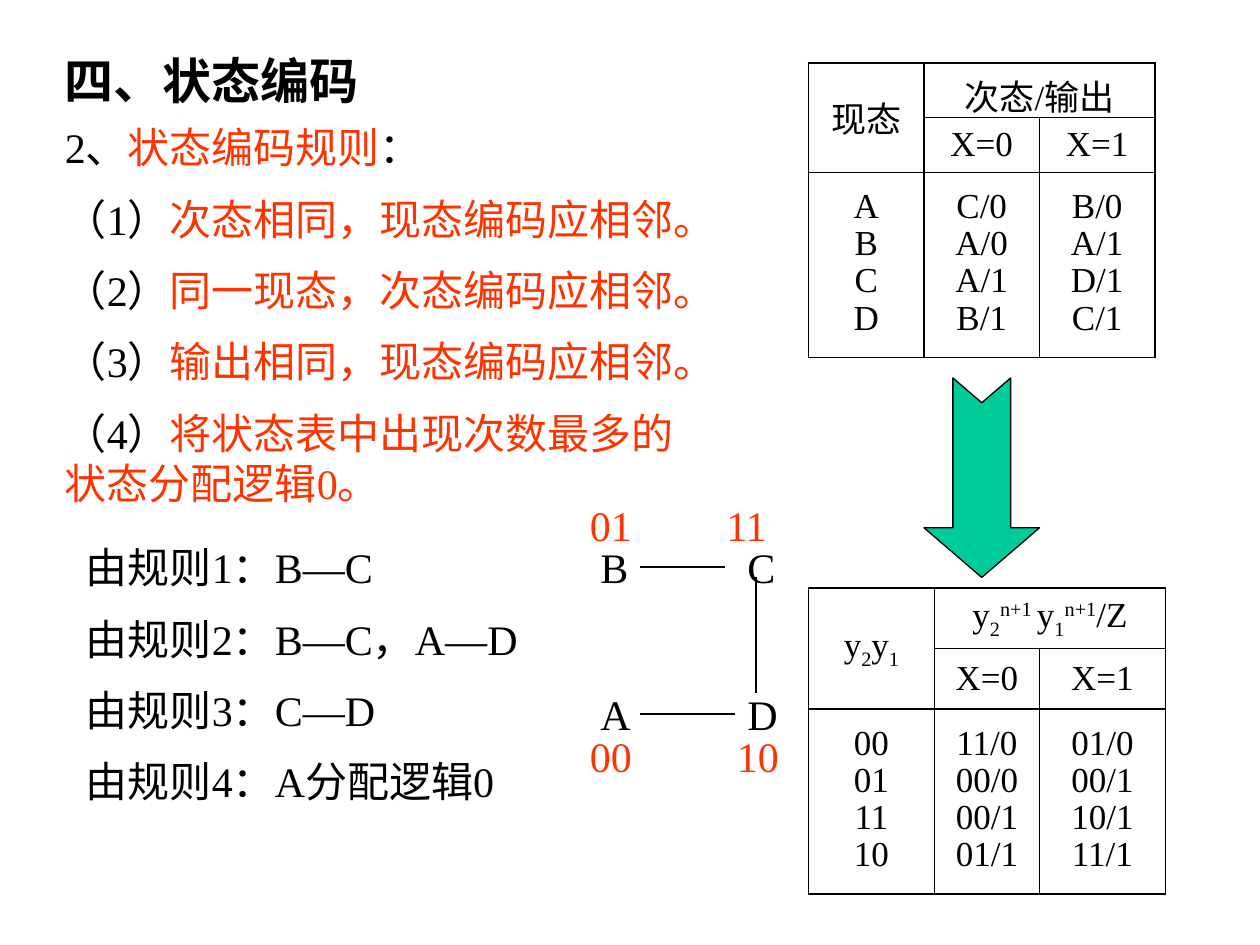
from dataclasses import dataclass

from lxml import etree
from pptx import Presentation
from pptx.dml.color import RGBColor
from pptx.enum.shapes import MSO_CONNECTOR, MSO_SHAPE
from pptx.enum.text import MSO_ANCHOR, MSO_AUTO_SIZE, PP_ALIGN
from pptx.oxml.ns import qn
from pptx.util import Inches, Pt

STRAIGHT = MSO_CONNECTOR.STRAIGHT
ARROW = MSO_SHAPE.NOTCHED_RIGHT_ARROW
CENTER, MIDDLE = PP_ALIGN.CENTER, MSO_ANCHOR.MIDDLE
GROW = MSO_AUTO_SIZE.SHAPE_TO_FIT_TEXT

FONT = "Times New Roman"
COLORS = {"black": "000000", "red": "FF3300", "green": "00CC99", "white": "FFFFFF"}
SUB, SUP = -25, 30
WIDTH, HEIGHT = Inches(10), Inches(7.5)
COLS, ROWS = 120, 90  # slide grid


@dataclass(frozen=True)
class Run:
    text: str
    color: str = "black"
    base: int = 0  # percent above (+) or below (-) the baseline


@dataclass(frozen=True)
class Box:
    x: float
    y: float
    w: float
    h: float
    lines: list[list[Run]]
    size: int = 24
    bold: bool = False


@dataclass(frozen=True)
class StateTable:
    x: float
    y: float
    cols: list[float]
    rows: list[float]
    state: list[Run]
    result: list[Run]
    body: list[str]  # one string of lines per column


def col(n: float) -> int:
    return round(WIDTH * n / COLS)


def row(n: float) -> int:
    return round(HEIGHT * n / ROWS)


def rgb(name: str) -> RGBColor:
    return RGBColor.from_string(COLORS[name])


def write(tf, lines: list[list[Run]], size: int, gap: float, bold: bool = False,
          align=None, spacing=None) -> None:
    for i, runs in enumerate(lines):
        p = tf.paragraphs[0] if i == 0 else tf.add_paragraph()
        p.space_before = Pt(gap if i else 0)
        p.alignment, p.line_spacing = align, spacing
        for run in runs:
            r = p.add_run()
            r.text = run.text
            r.font.name, r.font.size, r.font.bold = FONT, Pt(size), bold
            r.font.color.rgb = rgb(run.color)
            if run.base:
                r._r.get_or_add_rPr().set("baseline", str(run.base * 1000))


def draw_box(s, box: Box) -> None:
    sp = s.shapes.add_textbox(col(box.x), row(box.y), col(box.w), row(box.h))
    tf = sp.text_frame
    tf.word_wrap, tf.auto_size = True, GROW
    write(tf, box.lines, box.size, box.size / 2, box.bold)


def draw_line(s, x1: float, y1: float, x2: float, y2: float) -> None:
    sp = s.shapes.add_connector(STRAIGHT, col(x1), row(y1), col(x2), row(y2))
    sp.line.color.rgb, sp.line.width = rgb("black"), Pt(0.75)
    etree.SubElement(sp._element.spPr, qn("a:effectLst"))


def set_borders(cell) -> None:
    tc_pr = cell._tc.get_or_add_tcPr()
    for i, side in enumerate(("a:lnL", "a:lnR", "a:lnT", "a:lnB")):
        ln = etree.Element(qn(side), w=str(Pt(1)))
        fill = etree.SubElement(ln, qn("a:solidFill"))
        etree.SubElement(fill, qn("a:srgbClr"), val=COLORS["black"])
        tc_pr.insert(i, ln)


def draw_table(s, t: StateTable) -> None:
    table = s.shapes.add_table(len(t.rows), len(t.cols), col(t.x), row(t.y),
                               col(sum(t.cols)), row(sum(t.rows))).table
    table.first_row = table.horz_banding = False
    for column, w in zip(table.columns, t.cols):
        column.width = col(w)
    for line, h in zip(table.rows, t.rows):
        line.height = row(h)
    for cell in table.iter_cells():
        cell.fill.solid()
        cell.fill.fore_color.rgb = rgb("white")
        cell.vertical_anchor = MIDDLE
        set_borders(cell)
    table.cell(0, 0).merge(table.cell(1, 0))
    table.cell(0, 1).merge(table.cell(0, 2))
    # Headings, then the stacked values of each column
    headings = {(0, 0): t.state, (0, 1): t.result,
                (1, 1): [Run("X=0")], (1, 2): [Run("X=1")]}
    for (i, j), runs in headings.items():
        write(table.cell(i, j).text_frame, [runs], 20, 0, align=CENTER)
    for j, values in enumerate(t.body):
        write(table.cell(2, j).text_frame, [[Run(v)] for v in values.split()],
              20, 3.5, align=CENTER, spacing=0.8)


RULES = ["次态相同，现态编码应相邻。", "同一现态，次态编码应相邻。",
         "输出相同，现态编码应相邻。", "将状态表中出现次数最多的状态分配逻辑0。"]
RESULTS = ["B—C", "B—C，A—D", "C—D", "A分配逻辑0"]

TEXTS = [
    Box(5, 4.2, 94, 6.8, [[Run("四、状态编码")]], 28, True),
    Box(5, 11, 63, 39.6,
        [[Run("2、"), Run("状态编码规则", "red"), Run("：")]]
        + [[Run(f"（{n}）"), Run(rule, "red")] for n, rule in enumerate(RULES, 1)]),
    Box(7, 51, 59, 27.6,
        [[Run(f"由规则{n}：{res}")] for n, res in enumerate(RESULTS, 1)]),
]

# Adjacency map: states and their codes
LABELS = [("B", 56, 51, "black"), ("C", 70, 51, "black"),
          ("A", 56, 65, "black"), ("D", 70, 65, "black"),
          ("01", 55, 47, "red"), ("11", 68, 47, "red"),
          ("00", 55, 69, "red"), ("10", 69, 69, "red")]
LINKS = [(61, 54, 69, 54), (72, 55, 72, 66), (70, 68, 61, 68)]

Y2 = [Run("y"), Run("2", base=SUB)]
Y1 = [Run("y"), Run("1", base=SUB)]
TABLES = [
    StateTable(77, 6, [11, 11, 11], [5.2, 5.2, 17.65],
               [Run("现态")], [Run("次态/输出")],
               ["A B C D", "C/0 A/0 A/1 B/1", "B/0 A/1 D/1 C/1"]),
    StateTable(77, 56, [12, 10, 12], [5.75, 5.75, 17.65], Y2 + Y1,
               Y2 + [Run("n+1 ", base=SUP)] + Y1 + [Run("n+1", base=SUP), Run("/Z")],
               ["00 01 11 10", "11/0 00/0 00/1 01/1", "01/0 00/1 10/1 11/1"]),
]


def main() -> None:
    prs = Presentation()
    prs.slide_width, prs.slide_height = WIDTH, HEIGHT
    s = prs.slides.add_slide(prs.slide_layouts[6])

    for box in TEXTS:
        draw_box(s, box)
    for text, x, y, color in LABELS:
        draw_box(s, Box(x, y, 7, 6, [[Run(text, color)]]))
    for link in LINKS:
        draw_line(s, *link)
    for table in TABLES:
        draw_table(s, table)

    # Arrow from the state table to the encoded table
    sp = s.shapes.add_shape(ARROW, col(84), row(40), col(19), row(11))
    sp.rotation = 90
    sp.adjustments[0], sp.adjustments[1] = 0.5, 0.43
    sp.shadow.inherit = False
    sp.fill.solid()
    sp.fill.fore_color.rgb = rgb("green")
    sp.line.color.rgb, sp.line.width = rgb("black"), Pt(0.75)

    prs.save("out.pptx")


if __name__ == "__main__":
    main()
